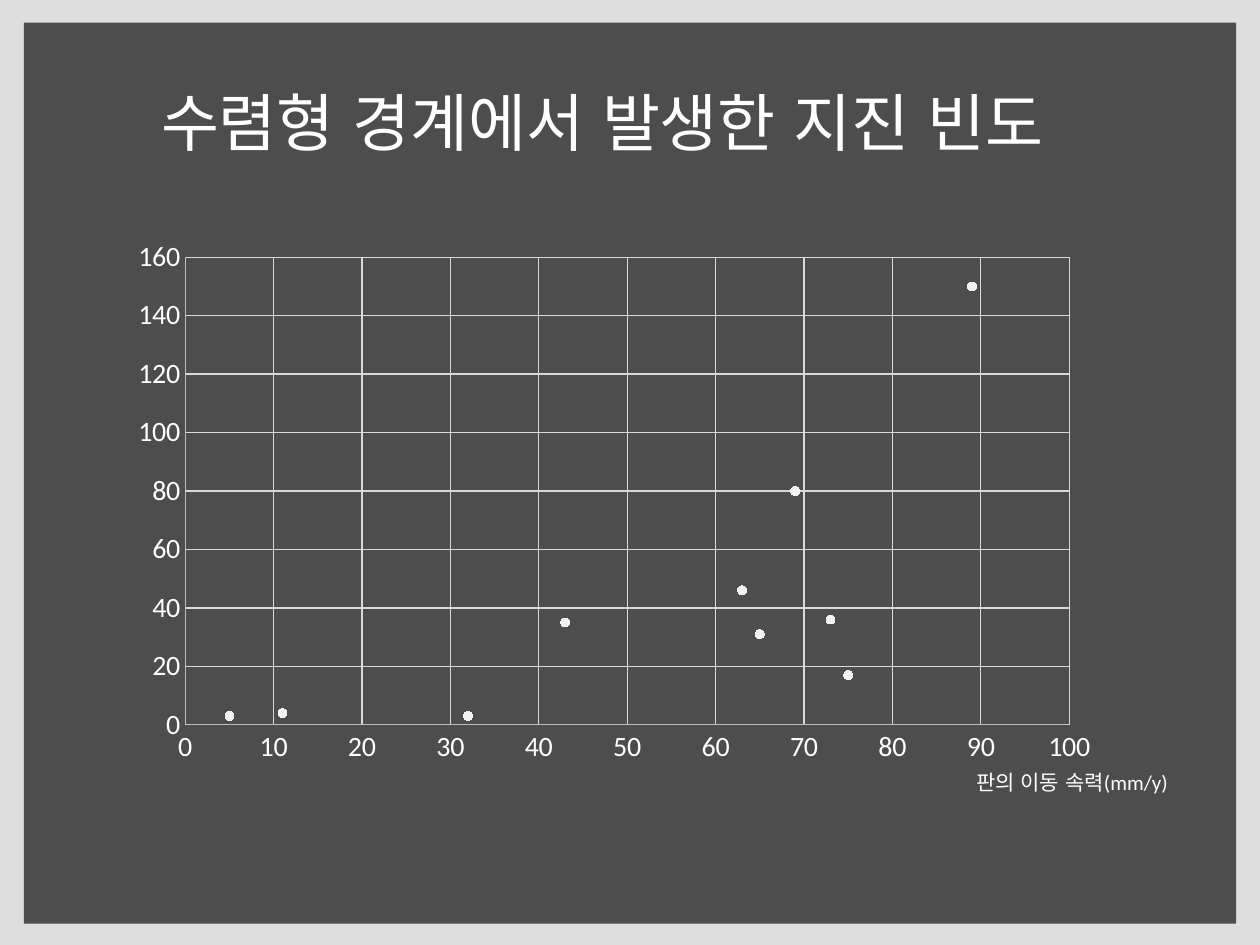
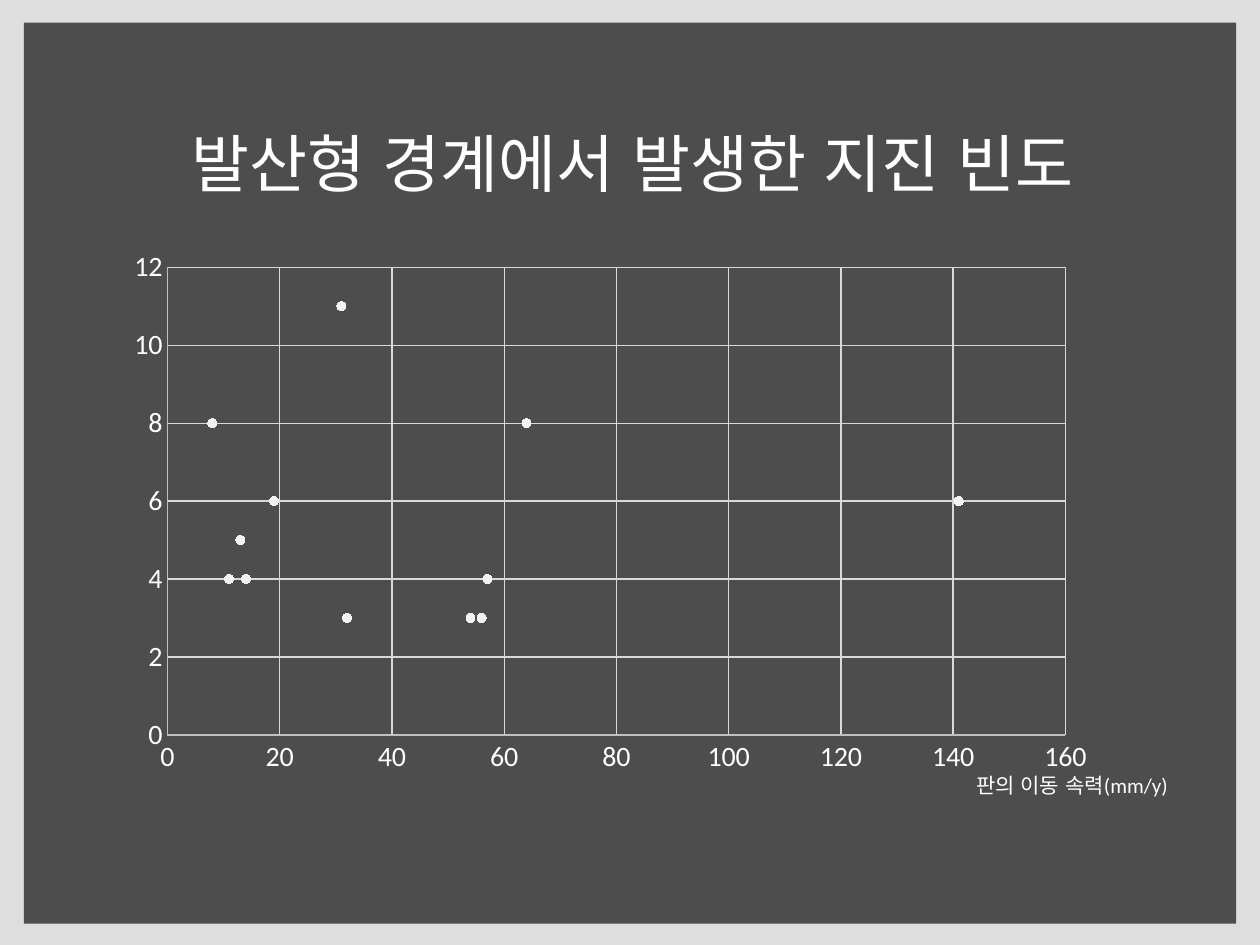
from lxml import etree
from pptx import Presentation
from pptx.chart.data import XyChartData
from pptx.dml.color import RGBColor
from pptx.enum.chart import XL_CHART_TYPE as CHART, XL_MARKER_STYLE as MARKER
from pptx.enum.chart import XL_TICK_LABEL_POSITION as LABELS, XL_TICK_MARK as TICK
from pptx.enum.lang import MSO_LANGUAGE_ID as LANG
from pptx.enum.shapes import MSO_SHAPE as SHAPE
from pptx.enum.text import MSO_AUTO_SIZE as AUTO
from pptx.oxml.ns import qn
from pptx.util import Inches, Pt

COLORS = {
    "shade": "000000",
    "text": "FFFFFF",
    "marker": "F2F2F2",
    "axis": "BFBFBF",
    "grid": "D9D9D9",
}
LATIN, KOREAN = "Calibri", "Noto Sans CJK KR"


def rgb(name):
    return RGBColor.from_string(COLORS[name])


class Deck:
    """Holds the presentation, its style and the current slide."""

    def __init__(self):
        self.prs = Presentation()
        self.prs.slide_width, self.prs.slide_height = Inches(10), Inches(7.5)
        self.s = None

    def new_slide(self):
        self.s = self.prs.slides.add_slide(self.prs.slide_layouts[6])
        # Pale frame with a dark panel inside it
        self.shade(0, 0, 10, 7.5, 13)
        self.shade(0.19, 0.18, 9.62, 7.15, 65)

    def shade(self, x, y, w, h, opacity):
        sp = self.s.shapes.add_shape(
            SHAPE.RECTANGLE, Inches(x), Inches(y), Inches(w), Inches(h))
        sp.shadow.inherit = False
        sp.line.fill.background()
        sp.fill.solid()
        sp.fill.fore_color.rgb = rgb("shade")
        color = sp.fill._xPr.find(".//" + qn("a:srgbClr"))
        etree.SubElement(color, qn("a:alpha")).set("val", str(opacity * 1000))

    def text(self, text, x, y, w, h, size, font, wrap=True, indent=0):
        sp = self.s.shapes.add_textbox(
            Inches(x), Inches(y), Inches(w), Inches(h))
        tf = sp.text_frame
        tf.word_wrap = wrap
        tf.auto_size = AUTO.SHAPE_TO_FIT_TEXT
        p = tf.paragraphs[0]
        if indent:
            p.level = 1
            p._p.get_or_add_pPr().set("marL", str(Inches(indent)))
        r = p.add_run()
        r.text = text
        r.font.size = Pt(size)
        r.font.name = font
        r.font.language_id = LANG.KOREAN
        r.font.color.rgb = rgb("text")

    def title(self, text, x, y, w, indent=0):
        self.text(text, x, y, w, 0.71, 36, KOREAN, indent=indent)

    def axis_caption(self, text, y):
        self.text(text, 7.65, y, 1.8, 0.3, 12, LATIN, wrap=False)

    def scatter(self, points, x, y, x_scale, y_scale):
        data = XyChartData()
        series = data.add_series("Series 1")
        for row in range(ROWS):
            series.add_data_point(*points.get(row, (None, None)))
        chart = self.s.shapes.add_chart(
            CHART.XY_SCATTER, Inches(x), Inches(y),
            Inches(7.87), Inches(4.33), data).chart
        # Rows without a measurement stay blank
        for pt in list(chart._chartSpace.iter(qn("c:pt"))):
            if pt.findtext(qn("c:v")) in ("None", "", None):
                pt.getparent().remove(pt)
        chart.has_title = chart.has_legend = False
        chart.font.size = Pt(16)
        chart.font.name = LATIN
        chart.font.color.rgb = rgb("text")
        self.axis(chart.category_axis, *x_scale)
        self.axis(chart.value_axis, *y_scale)

        # Round markers only, no joining line
        plot = chart.plots[0]
        plot.vary_by_categories = False
        dots = plot.series[0]
        dots.smooth = False
        dots.format.line.fill.background()
        dots.marker.style, dots.marker.size = MARKER.CIRCLE, 5
        dots.marker.format.fill.solid()
        dots.marker.format.fill.fore_color.rgb = rgb("marker")
        dots.marker.format.line.fill.background()

    def axis(self, axis, maximum, step):
        axis.minimum_scale, axis.maximum_scale = 0, maximum
        axis.major_unit = step
        axis.major_tick_mark = axis.minor_tick_mark = TICK.NONE
        axis.tick_label_position = LABELS.NEXT_TO_AXIS
        axis.has_major_gridlines = True
        for part, color in ((axis, "axis"), (axis.major_gridlines, "grid")):
            part.format.line.width = Pt(0.75)
            part.format.line.color.rgb = rgb(color)


# Row of the plate pair: plate speed (mm/y), number of earthquakes
ROWS = 27
CONVERGENT = {5: (32, 3), 9: (63, 46), 11: (5, 3), 12: (69, 80),
              13: (89, 150), 14: (43, 35), 15: (65, 31), 20: (11, 4),
              21: (75, 17), 23: (73, 36)}
DIVERGENT = {0: (19, 6), 1: (31, 11), 3: (8, 8), 4: (13, 5), 6: (14, 4),
             8: (32, 3), 10: (64, 8), 16: (57, 4), 17: (54, 3),
             18: (141, 6), 19: (56, 3), 20: (11, 4)}
SPEED = "판의 이동 속력(mm/y)"


def main():
    deck = Deck()

    # Convergent boundaries
    deck.new_slide()
    deck.scatter(CONVERGENT, 0.94, 1.82, (100, 10), (160, 20))
    deck.title("수렴형 경계에서 발생한 지진 빈도", 1.18, 0.61, 7.63)
    deck.axis_caption(SPEED, 6.06)

    # Divergent boundaries
    deck.new_slide()
    deck.scatter(DIVERGENT, 0.91, 1.9, (160, 20), (12, 2))
    deck.title("발산형 경계에서 발생한 지진 빈도", 0.92, 0.94, 7.89, indent=0.5)
    deck.axis_caption(SPEED, 6.08)

    deck.prs.save("out.pptx")


if __name__ == "__main__":
    main()
